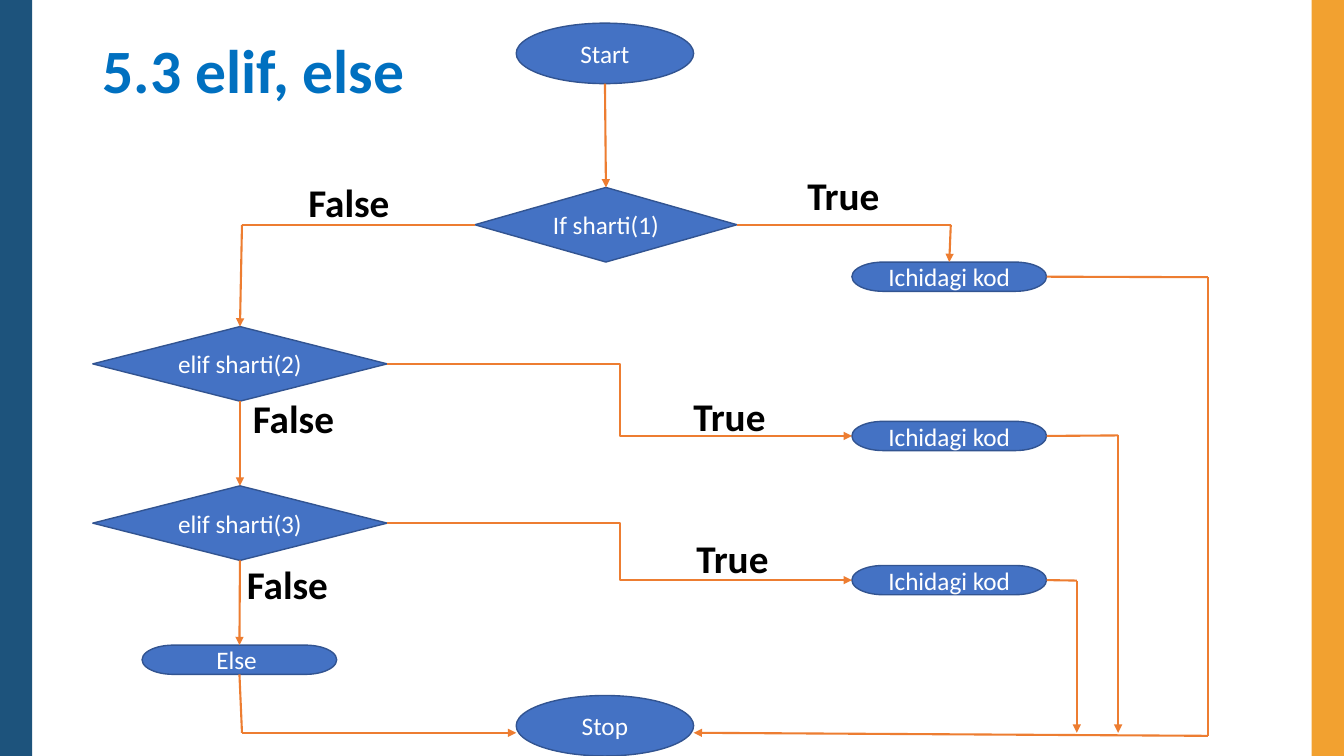
from itertools import pairwise

from lxml.etree import SubElement
from pptx import Presentation
from pptx.dml.color import RGBColor
from pptx.enum.shapes import MSO_CONNECTOR, MSO_SHAPE
from pptx.enum.text import MSO_ANCHOR, PP_ALIGN
from pptx.oxml.ns import qn
from pptx.util import Inches, Pt

NAVY = RGBColor(0x1D, 0x53, 0x7C)
AMBER = RGBColor(0xF2, 0xA1, 0x30)
TITLE_BLUE = RGBColor(0x00, 0x70, 0xC0)
NODE_BLUE = RGBColor(0x44, 0x72, 0xC4)
NODE_EDGE = RGBColor(0x32, 0x54, 0x91)
ARROW_ORANGE = RGBColor(0xED, 0x7D, 0x31)
WHITE = RGBColor(0xFF, 0xFF, 0xFF)
BLACK = RGBColor(0x00, 0x00, 0x00)
FONT = "Calibri"

TOP, LEFT, BOTTOM, RIGHT = range(4)
DIAMOND = MSO_SHAPE.DIAMOND
PILL = MSO_SHAPE.FLOWCHART_TERMINATOR
OVAL = MSO_SHAPE.OVAL

TITLE = ("5.3 elif, else", (0.92, 0, 11.5, 1.45))
BANDS = [(0, -0.01, NAVY), (13.01, 0, AMBER)]
BAND_SIZE = (0.32, 7.51)

IF_SIZE = (2.6, 0.74)
ELIF_SIZE = (2.92, 0.74)
PILL_SIZE = (1.93, 0.29)
OVAL_SIZE = (1.76, 0.6)
NODES = {
    "if": ("If sharti(1)", DIAMOND, (4.71, 1.86), IF_SIZE),
    "elif 2": ("elif sharti(2)", DIAMOND, (0.92, 3.24), ELIF_SIZE),
    "elif 3": ("elif sharti(3)", DIAMOND, (0.92, 4.82), ELIF_SIZE),
    "body 1": ("Ichidagi kod", PILL, (8.45, 2.6), PILL_SIZE),
    "body 2": ("Ichidagi kod", PILL, (8.45, 4.18), PILL_SIZE),
    "body 3": ("Ichidagi kod", PILL, (8.45, 5.61), PILL_SIZE),
    "else": ("Else ", PILL, (1.41, 6.4), PILL_SIZE),
    "start": ("Start", OVAL, (5.12, 0.23), OVAL_SIZE),
    "stop": ("Stop", OVAL, (5.12, 6.9), OVAL_SIZE),
}

STOP_Y = 7.27
ROUTES = [
    [(6, 0.83), ("if", TOP)],
    [("if", LEFT), (2.4, 2.23), ("elif 2", TOP)],
    [("if", RIGHT), (9.43, 2.23), ("body 1", TOP)],
    [("elif 2", BOTTOM), ("elif 3", TOP)],
    [("elif 3", BOTTOM), ("else", TOP)],
    [("else", BOTTOM), (2.4, STOP_Y), (5.12, STOP_Y)],
    [("body 1", RIGHT), (11.98, 2.75), (11.98, 7.3), (6.88, STOP_Y)],
    [("body 2", RIGHT), (11.09, 4.32), (11.09, STOP_Y)],
    [("body 3", RIGHT), (10.68, 5.76), (10.68, STOP_Y)],
]
ELBOWS = [
    [("elif 2", RIGHT), ("body 2", LEFT)],
    [("elif 3", RIGHT), ("body 3", LEFT)],
]

LABEL_SIZE = (1.27, 0.21)
LABELS = [
    ("True", 7.91, 1.86),
    ("False", 2.96, 1.93),
    ("False", 2.41, 4.07),
    ("False", 2.35, 5.72),
    ("True", 6.78, 4.05),
    ("True", 6.81, 5.46),
]


def add_box(kind, place, fill):
    box = slide.shapes.add_shape(kind, *map(Inches, place))
    box.shadow.inherit = False
    box.fill.solid()
    box.fill.fore_color.rgb = fill
    box.line.fill.background()
    return box


def write(frame, wording, size, color, bold=False):
    frame.word_wrap = True
    frame.vertical_anchor = MSO_ANCHOR.MIDDLE
    paragraph = frame.paragraphs[0]
    run = paragraph.add_run()
    run.text = wording
    run.font.name = FONT
    run.font.size = Pt(size)
    run.font.bold = bold
    run.font.color.rgb = color
    return paragraph


def add_heading(wording, place, size, color):
    frame = slide.shapes.add_textbox(*map(Inches, place)).text_frame
    write(frame, wording, size, color, bold=True).line_spacing = 0.9


def locate(end):
    if end[0] not in NODES:
        return end
    name, side = end
    _, _, (x, y), (width, height) = NODES[name]
    across, down = [(0.5, 0), (0, 0.5), (0.5, 1), (1, 0.5)][side]
    return x + width * across, y + height * down


def add_link(start, end, arrow, kind=MSO_CONNECTOR.STRAIGHT):
    link = slide.shapes.add_connector(kind, *map(Inches, locate(start) + locate(end)))
    if start[0] in NODES:
        link.begin_connect(drawn[start[0]], start[1])
    if end[0] in NODES:
        link.end_connect(drawn[end[0]], end[1])
    link.line.color.rgb = ARROW_ORANGE
    link.line.width = Pt(1.5)
    if arrow:
        SubElement(link.line._get_or_add_ln(), qn("a:tailEnd"), type="triangle")
    SubElement(link._element.spPr, qn("a:effectLst"))


presentation = Presentation()
presentation.slide_width = Inches(13.33)
presentation.slide_height = Inches(7.5)
slide = presentation.slides.add_slide(presentation.slide_layouts[6])

for x, y, color in BANDS:
    add_box(MSO_SHAPE.RECTANGLE, (x, y, *BAND_SIZE), color)

add_heading(*TITLE, 44, TITLE_BLUE)

drawn = {}
for name, (wording, kind, corner, size) in NODES.items():
    node = add_box(kind, corner + size, NODE_BLUE)
    node.line.color.rgb = NODE_EDGE
    node.line.width = Pt(1)
    write(node.text_frame, wording, 18, WHITE).alignment = PP_ALIGN.CENTER
    drawn[name] = node

for route in ROUTES:
    for start, end in pairwise(route):
        add_link(start, end, arrow=end == route[-1])
for start, end in ELBOWS:
    add_link(start, end, arrow=True, kind=MSO_CONNECTOR.ELBOW)

for wording, x, y in LABELS:
    add_heading(wording, (x, y, *LABEL_SIZE), 28, BLACK)

presentation.save("out.pptx")
